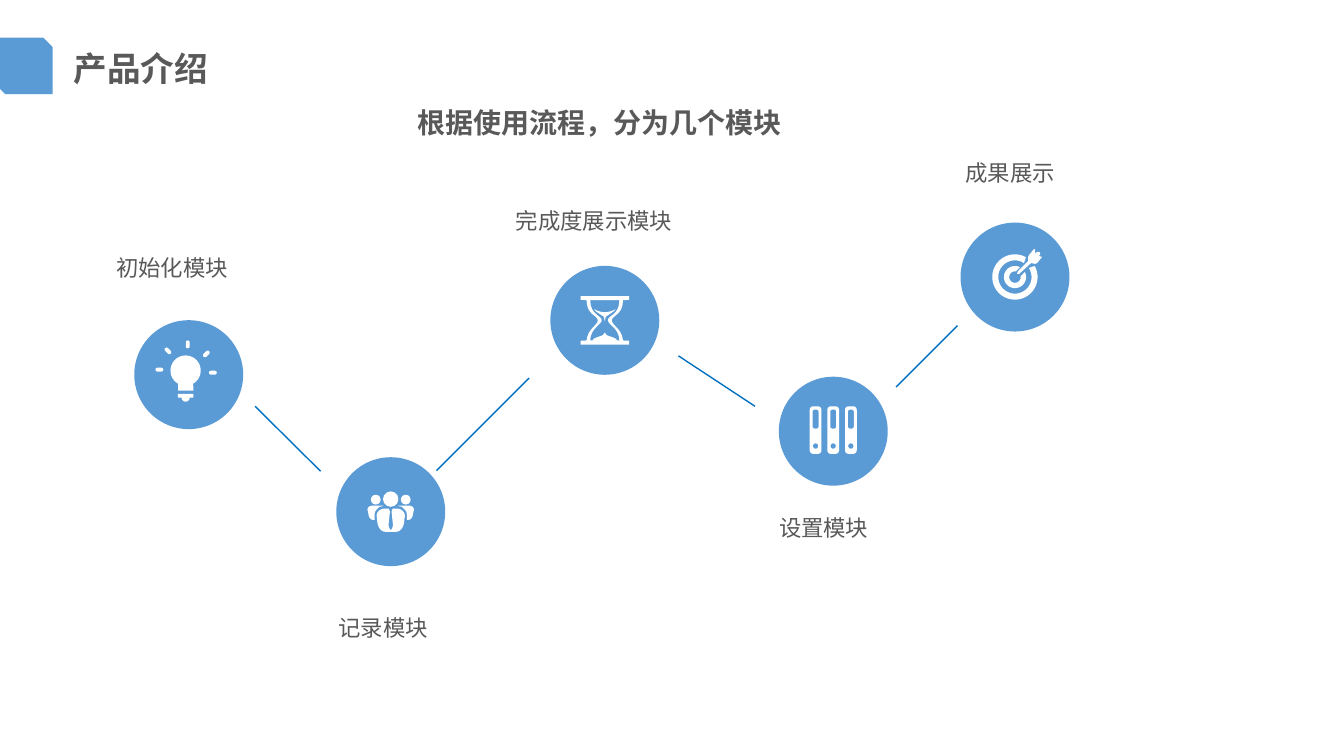
from math import cos, radians, sin

from lxml.etree import SubElement
from pptx import Presentation
from pptx.dml.color import RGBColor
from pptx.enum.shapes import MSO_CONNECTOR as CONNECTOR, MSO_SHAPE as SHAPE
from pptx.enum.text import MSO_ANCHOR as ANCHOR, MSO_AUTO_SIZE as FIT, PP_ALIGN as ALIGN
from pptx.oxml.ns import qn
from pptx.util import Pt

FONT = "Noto Sans CJK SC"
BLUE, LINK, GREY, WHITE = "5B9BD5", "0070C0", "595959", "FFFFFF"
DISC = 77.8


def paint(color_format, color):
    color_format.rgb = RGBColor.from_string(color)


def fill_plain(shape, color):
    shape.shadow.inherit = False
    shape.fill.solid()
    paint(shape.fill.fore_color, color)
    shape.line.fill.background()


def preset(slide, kind, box, color, turn=0):
    shape = slide.shapes.add_shape(kind, *map(Pt, box))
    shape.rotation = turn
    fill_plain(shape, color)
    return shape


def write(frame, text, size, bold=False, align=ALIGN.JUSTIFY):
    frame.vertical_anchor = ANCHOR.TOP
    paragraph = frame.paragraphs[0]
    paragraph.alignment = align
    run = paragraph.add_run()
    run.text = text
    run.font.size, run.font.bold, run.font.name = Pt(size), bold, FONT
    paint(run.font.color, GREY)
    SubElement(run._r.get_or_add_rPr(), qn("a:ea")).set("typeface", FONT)


def caption(slide, box, text, size, bold=False):
    frame = slide.shapes.add_textbox(*map(Pt, box)).text_frame
    frame.word_wrap = True
    write(frame, text, size, bold)


def trace(steps, samples=8):
    points = []
    for step in steps:
        if len(step) == 2:
            points.append(step)
            continue
        start = points[-1]
        controls = start, step[:2], step[2:4], step[4:]
        for i in range(1, samples + 1):
            t = i / samples
            weights = (1 - t) ** 3, 3 * t * (1 - t) ** 2, 3 * t * t * (1 - t), t ** 3
            points.append(tuple(sum(w * c[axis] for w, c in zip(weights, controls))
                                for axis in (0, 1)))
    return points


def flip(points):
    return [(-x, y) for x, y in reversed(points)]


def both_sides(steps):
    half = trace(steps)
    return half + flip(half)


def arc(x, y, radius, start, end, samples=40):
    angles = [radians(start + (end - start) * i / samples) for i in range(samples + 1)]
    return [(x + radius * cos(a), y + radius * sin(a)) for a in angles]


def rounded(left, top, width, height, r):
    right, bottom = left + width, top + height
    return (arc(left + r, top + r, r, 180, 270, 6) + arc(right - r, top + r, r, 270, 360, 6)
            + arc(right - r, bottom - r, r, 0, 90, 6) + arc(left + r, bottom - r, r, 90, 180, 6))


def outline(slide, center, *contours):
    placed = [[(Pt(center[0] + x), Pt(center[1] + y)) for x, y in c] for c in contours]
    builder = slide.shapes.build_freeform(*placed[0][0])
    for i, contour in enumerate(placed):
        if i:
            builder.move_to(*contour[0])
        builder.add_line_segments(contour[1:], close=True)
    fill_plain(builder.convert_to_shape(), WHITE)


def bulb(slide, center):
    for x, y, turn in ((-14.8, -17, 45), (-20.9, -3.6, 0), (17.3, -1.4, 0),
                       (12.6, -14.8, -45), (-0.7, -21.6, 90)):
        ray = preset(slide, SHAPE.ROUNDED_RECTANGLE,
                     (center[0] + x - 2.8, center[1] + y - 1.4, 5.6, 2.8), WHITE, turn)
        ray.adjustments[0] = 0.5
    outline(slide, center, arc(-2.2, -2.9, 10.8, 120, 420) + [(3.4, 11.5), (-7.6, 11.5)])
    outline(slide, center, [(-7.8, 13.7), (3.4, 13.7), (3.4, 16.4)]
            + arc(-2.2, 16.4, 2.9, 0, 180) + [(-7.8, 16.4)])


def team(slide, center):
    outline(slide, center, both_sides([
        (0, 13), (0.7, 13, 1.6, 10.5, 1.6, 9.4), (0.6, 0), (1.4, -2.2), (4.3, -2.2),
        (7.2, -2.2, 10.1, 0, 10.1, 2.9), (9.4, 8.6), (8.6, 11.5, 7, 14.4, 3.6, 14.4)]))
    shoulder = trace([
        (13, -4.3), (5, -4.3), (6.5, -3.6, 7.2, -3.6, 7.9, -3.6),
        (8.6, -2.9, 9.4, -2.2, 10.1, -1.4), (11.5, 0, 11.5, 1.4, 11.5, 2.9), (11.5, 5.8),
        (13, 5.8), (14.4, 5.8, 15.8, 3.6, 15.8, 2.2), (16.6, -1.4),
        (16.6, -2.9, 15.1, -4.3, 13, -4.3)])
    for side in shoulder, flip(shoulder):
        outline(slide, center, side)
    for x, y, size in ((0, -9, 11), (10.7, -8.6, 7), (-10.7, -8.6, 7)):
        preset(slide, SHAPE.OVAL, (center[0] + x - size / 2, center[1] + y - size / 2,
                                   size, size), WHITE)


def hourglass(slide, center):
    frame = both_sides([
        (0, -17.3), (17.3, -17.3), (17.3, -14.6), (13, -14.4), (13, -3.6, 5, -3.6, 5, 0),
        (5, 3.6, 12.2, 5.8, 13, 14.4), (17.3, 14.6), (17.3, 17.3), (0, 17.3)])
    glass = both_sides([
        (0, -14.4), (10.4, -14.4), (10.4, -3.6, 2.2, -3.6, 2.2, 0),
        (2.2, 2.9, 10.4, 5.8, 10.4, 14.4), (8.6, 14.4), (8.6, 13.7, 7.9, 13, 5.8, 12.2),
        (2.9, 11.2), (1.4, 10.8, 0.7, 10, 0, 8.6)])
    sand = both_sides([
        (0, 0.7), (0.6, -2.2), (0.7, -2.9, 1.4, -2.9, 4.3, -5),
        (5.8, -6, 7.2, -7, 7.6, -7.9), (5, -6.5, 2.2, -5.8, 0, -5.8)])
    outline(slide, center, frame, glass, sand)


def binders(slide, center):
    for i in (-1, 0, 1):
        outline(slide, (center[0] + 12.6 * i, center[1] - 0.8),
                rounded(-4.2, -17, 8.4, 34, 2.6), rounded(-2.1, -14.6, 4.2, 13.5, 1.4),
                arc(0, 11.4, 1.9, 0, 360))


def target(slide, center):
    outline(slide, center, arc(0, 0, 16.2, -29, 299) + arc(0, 0, 11.9, 303, -33))
    outline(slide, center, arc(0, 0, 7.9, -27, 297) + arc(0, 0, 4.1, 279, -9))
    outline(slide, center, [
        (16.6, -15.1), (18, -15.8), (18, -17.3), (17.3, -18), (15.8, -18), (14.4, -16.6),
        (14.4, -19.4), (13.7, -20.2), (10.1, -15.8), (9.4, -14.4), (9.4, -11.5),
        (2.2, -4.3), (1.4, -2.2), (2.9, -2.2), (11.5, -10), (14.4, -9.4), (15.8, -10),
        (19.4, -14.4)])


def header(slide, box):
    left, top, width, height = box
    preset(slide, SHAPE.SNIP_2_DIAG_RECTANGLE, (left - 3, top, 40.5, 40.5), BLUE)
    title = slide.shapes.title
    title.left, title.top, title.width, title.height = map(
        Pt, (left + 45.4, top + 3.7, width - 45.4, height - 3.7))
    title.text_frame.word_wrap = True
    title.text_frame.auto_size = FIT.NONE
    write(title.text_frame, "产品介绍", 24, True, ALIGN.LEFT)


def link(slide, start, end):
    line = slide.shapes.add_connector(CONNECTOR.STRAIGHT, *map(Pt, start + end))
    paint(line.line.color, LINK)
    line.line.width = Pt(1)
    SubElement(line._element.spPr, qn("a:effectLst"))


def flow(slide, box, modules, links):
    left, top, width, _ = box
    for start, end in links:
        link(slide, (left + start[0], top + start[1]), (left + end[0], top + end[1]))
    for name, icon, (x, y), (label_x, label_y, label_width) in modules:
        center = left + x, top + y
        preset(slide, SHAPE.OVAL, (center[0] - DISC / 2, center[1] - DISC / 2, DISC, DISC), BLUE)
        icon(slide, center)
        caption(slide, (left + label_x, top + label_y, label_width, 26.6), name, 16)
    caption(slide, (left + 215.3, top, 312.5, 31.5), "根据使用流程，分为几个模块", 20, True)


MODULES = [
    ("初始化模块", bulb, (59.2, 195.6), (0.4, 106.2, 110.9)),
    ("记录模块", team, (203.5, 293.5), (159.1, 362.9, 89.3)),
    ("完成度展示模块", hourglass, (356.4, 156.8), (285.8, 72.7, 141.1)),
    ("设置模块", binders, (519.6, 236), (473.8, 291.6, 91.4)),
    ("成果展示", target, (649.4, 125.9), (607, 38.2, 84.2)),
]
LINKS = [((106.6, 218.2), (153.4, 264.6)), ((236.2, 264.2), (302.4, 198)),
         ((409, 182.2), (463.7, 218.2)), ((564.5, 204.5), (608.4, 160.6))]

deck = Presentation()
deck.slide_width, deck.slide_height = Pt(960), Pt(540)
slide = deck.slides.add_slide(deck.slide_layouts[5])
header(slide, (0, 26.8, 180, 44))
flow(slide, (75.6, 72, 691.2, 400), MODULES, LINKS)
deck.save("out.pptx")
